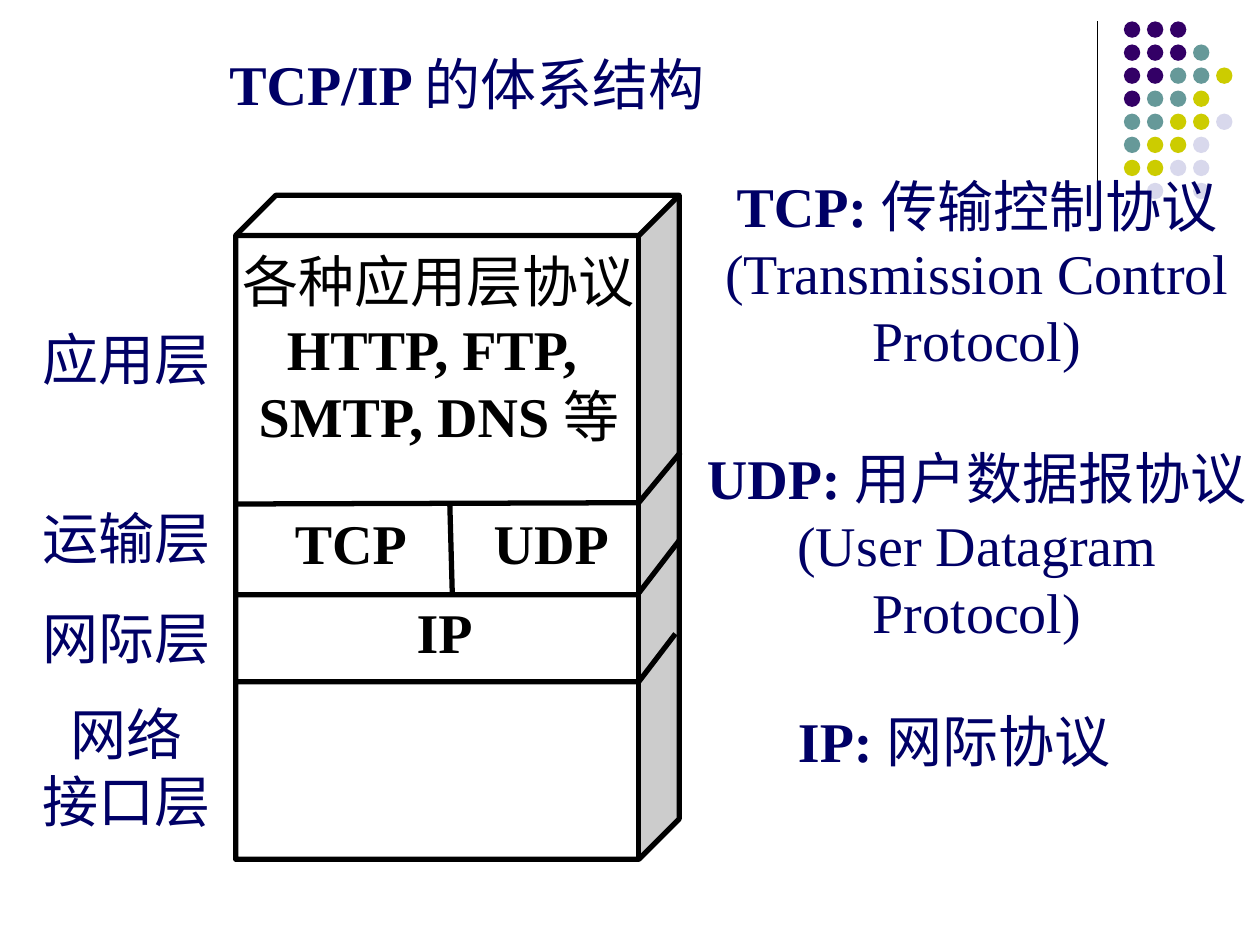
from typing import NamedTuple

from lxml.etree import SubElement
from pptx import Presentation
from pptx.dml.color import RGBColor
from pptx.enum.shapes import MSO_CONNECTOR as Connector, MSO_SHAPE as Shape
from pptx.enum.text import MSO_ANCHOR as Anchor, MSO_AUTO_SIZE as AutoSize, PP_ALIGN as Align
from pptx.oxml.ns import qn
from pptx.util import Inches, Pt

WIDTH, HEIGHT = Inches(10), Inches(7.5)
COLUMNS, ROWS = 100, 75
NAVY, BLACK, WHITE = "000066", "000000", "FFFFFF"
FONT, TEXT_SIZE, STROKE = "Times New Roman", 32, 3


class Span(NamedTuple):
    text: str
    bold: bool = False


class Label(NamedTuple):
    column: float
    row: float
    columns: float
    rows: float
    lines: list[list[Span]]
    color: str = NAVY
    align: Align = Align.CENTER


def across(columns: float) -> int:
    return round(WIDTH * columns / COLUMNS)


def down(rows: float) -> int:
    return round(HEIGHT * rows / ROWS)


def rgb(color: str) -> RGBColor:
    return RGBColor.from_string(color)


def fill_text(box, label: Label) -> None:
    """Place a box and set its paragraphs."""
    box.left, box.top = across(label.column), down(label.row)
    box.width, box.height = across(label.columns), down(label.rows)
    frame = box.text_frame
    frame.word_wrap = False
    frame.auto_size = AutoSize.NONE
    frame.vertical_anchor = Anchor.TOP
    for index, line in enumerate(label.lines):
        para = frame.add_paragraph() if index else frame.paragraphs[0]
        para.alignment = label.align
        para.font.name, para.font.size = FONT, Pt(TEXT_SIZE)
        para.font.color.rgb = rgb(label.color)
        for part in line:
            span = para.add_run()
            span.text, span.font.bold = part


def add_label(page, label: Label) -> None:
    fill_text(page.shapes.add_textbox(0, 0, 0, 0), label)


def style_line(line, points: float) -> None:
    line.color.rgb, line.width = rgb(BLACK), Pt(points)


def add_line(page, start: tuple, end: tuple, points: float) -> None:
    connector = page.shapes.add_connector(
        Connector.STRAIGHT, across(start[0]), down(start[1]), across(end[0]), down(end[1]))
    style_line(connector.line, points)
    SubElement(connector._element.spPr, qn("a:effectLst"))


def add_dots(page) -> None:
    """Draw the corner dots; each letter is a colour, a dot is a gap."""
    colors = {"P": "330066", "T": "669999", "Y": "CCCC00", "L": "D8D8EC"}
    pattern = ["PPP", "PPPT", "PPTTY", "PTTY", "TTYYL", "TYYL", "YYLL", ".L.L"]
    pitch, size = 1.83, 1.3
    for row, letters in enumerate(pattern):
        for column, letter in enumerate(letters):
            if letter not in colors:
                continue
            dot = page.shapes.add_shape(
                Shape.OVAL, across(89.2 + column * pitch), down(1.7 + row * pitch),
                across(size), down(size))
            dot.shadow.inherit = False
            dot.fill.solid()
            dot.fill.fore_color.rgb = rgb(colors[letter])
            dot.line.fill.background()


def add_stack(page) -> None:
    """Draw the block and the edges between its layers."""
    cube = page.shapes.add_shape(
        Shape.CUBE, across(18.7), down(15.5), across(35.2), down(52.7))
    cube.adjustments[0] = 0.091
    cube.shadow.inherit = False
    cube.fill.solid()
    cube.fill.fore_color.rgb = rgb(WHITE)
    style_line(cube.line, STROKE)

    edges = [
        [(54, 35.9), (50.7, 39.9), (18.7, 40)],
        [(53.9, 42.9), (50.6, 47.2), (18.7, 47.2)],
        [(53.6, 50.3), (50.7, 54.1), (18.7, 54.1)],
    ]
    for edge in edges:
        start, *rest = [(across(x), down(y)) for x, y in edge]
        builder = page.shapes.build_freeform(*start)
        builder.add_line_segments(rest, close=False)
        outline = builder.convert_to_shape()
        outline.shadow.inherit = False
        outline.fill.background()
        style_line(outline.line, STROKE)
    add_line(page, (35.7, 39.9), (35.9, 47.2), STROKE)


TITLE = Label(17.2, 3.4, 41, 6.4, [[Span("TCP/IP ", True), Span("的体系结构")]],
              align=Align.LEFT)

LABELS = [
    # Layer names
    Label(2.4, 25.3, 15.3, 6.4, [[Span("应用层")]]),
    Label(2.4, 39.5, 15.3, 6.4, [[Span("运输层")]]),
    Label(2.4, 47.4, 15.3, 6.4, [[Span("网际层")]]),
    Label(2.4, 55, 15.3, 11.7, [[Span("网络")], [Span("接口层")]]),
    # Protocols on the block
    Label(18.3, 19.1, 33.1, 17,
          [[Span("各种应用层协议")], [Span("HTTP, FTP, ", True)],
           [Span("SMTP, DNS ", True), Span("等")]], BLACK),
    Label(22.4, 39.9, 10.9, 6.4, [[Span("TCP", True)]], BLACK),
    Label(38.2, 39.9, 11.1, 6.4, [[Span("UDP", True)]], BLACK),
    Label(32.1, 46.9, 6.4, 6.4, [[Span("IP", True)]], BLACK),
    # Full names of the protocols
    Label(56.5, 13.1, 42.1, 17,
          [[Span("TCP: ", True), Span("传输控制协议")],
           [Span("(Transmission Control")], [Span("Protocol)")]]),
    Label(54.6, 34.7, 45.9, 17,
          [[Span("UDP: ", True), Span("用户数据报协议")],
           [Span("(User Datagram")], [Span("Protocol)")]]),
    Label(61.8, 55.6, 27.9, 6.4, [[Span("IP: ", True), Span("网际协议")]]),
]


def main() -> None:
    deck = Presentation()
    deck.slide_width, deck.slide_height = WIDTH, HEIGHT
    page = deck.slides.add_slide(deck.slide_layouts[5])

    # Corner ornament
    add_line(page, (87.1, 1.7), (87.1, 18.3), 0.75)
    add_dots(page)

    # Title, block and labels
    fill_text(page.shapes.title, TITLE)
    add_stack(page)
    for label in LABELS:
        add_label(page, label)

    deck.save("out.pptx")


if __name__ == "__main__":
    main()
